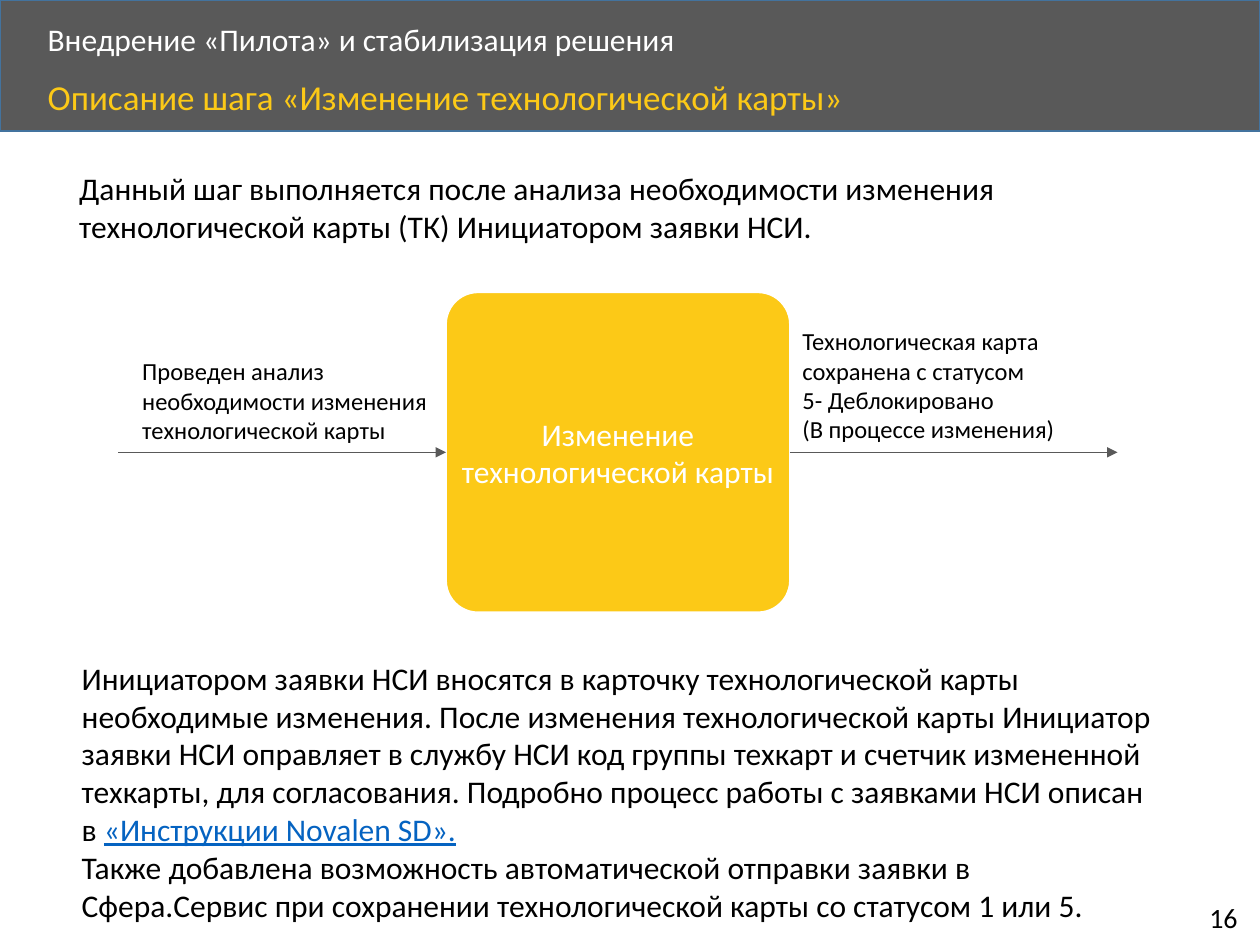
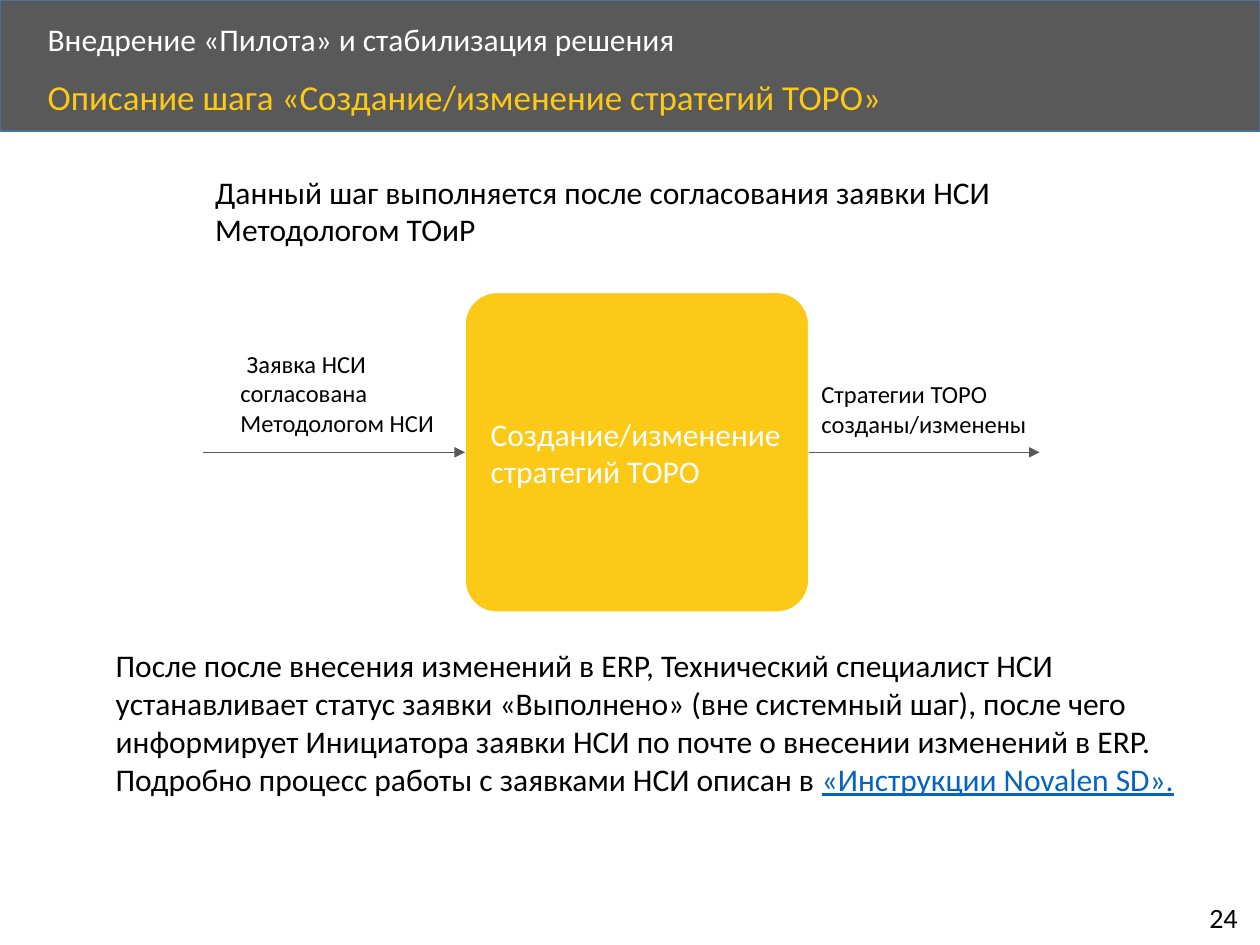
from dataclasses import dataclass

from lxml.etree import SubElement
from pptx import Presentation
from pptx.dml.color import RGBColor
from pptx.enum.shapes import MSO_CONNECTOR, MSO_SHAPE
from pptx.enum.text import MSO_ANCHOR, PP_ALIGN
from pptx.oxml.ns import qn
from pptx.util import Pt

EMU_PER_PX = 9144
SLIDE_WIDTH, SLIDE_HEIGHT = 1000, 750
STEP_TOP, STEP_WIDTH, STEP_HEIGHT = 232, 273, 254
FLOW_Y = STEP_TOP + STEP_HEIGHT // 2
SECTION = "Внедрение «Пилота» и стабилизация решения"
INSTRUCTION = "«Инструкции Novalen SD»."


@dataclass(frozen=True)
class Theme:
    font: str = "Calibri"
    band: str = "595959"
    band_line: str = "43739E"
    accent: str = "FCC917"
    light: str = "FFFFFF"
    dark: str = "000000"
    link: str = "0563C1"
    title_size: int = 20
    body_size: int = 18
    number_size: int = 16
    label_size: int = 14


def px(length):
    return length * EMU_PER_PX


def apply(target, values):
    for name, value in values.items():
        setattr(target, name, value)


class Deck:
    def __init__(self, theme):
        self.theme = theme
        self.presentation = Presentation()
        apply(self.presentation, {"slide_width": px(SLIDE_WIDTH),
                                  "slide_height": px(SLIDE_HEIGHT)})
        self.slide = None

    def start_slide(self, title, number):
        theme = self.theme
        self.slide = self.presentation.slides.add_slide(self.presentation.slide_layouts[6])
        self.shape(MSO_SHAPE.RECTANGLE, (0, 0, SLIDE_WIDTH, 104), theme.band, theme.band_line)
        self.text((28, 14, 807, 38), [SECTION], color=theme.light, line_spacing=0.9,
                  frame={"vertical_anchor": MSO_ANCHOR.MIDDLE})
        self.text((28, 59, 867, 45), [title], theme.title_size, theme.accent, line_spacing=0.9)
        self.text((950, 710, 46, 37), [str(number)], theme.number_size,
                  frame={"word_wrap": False})

    def shape(self, kind, box, fill, line):
        shape = self.slide.shapes.add_shape(kind, *map(px, box))
        shape.shadow.inherit = False
        shape.fill.solid()
        shape.fill.fore_color.rgb = RGBColor.from_string(fill)
        shape.line.color.rgb = RGBColor.from_string(line)
        shape.line.width = Pt(1)
        return shape

    def add_paragraphs(self, text_frame, paragraphs, size, color, **paragraph_format):
        for index, content in enumerate(paragraphs):
            paragraph = text_frame.paragraphs[0] if index == 0 else text_frame.add_paragraph()
            apply(paragraph, paragraph_format)
            for part in [content] if isinstance(content, str) else content:
                run = paragraph.add_run()
                run.text = part
                linked = part == INSTRUCTION
                apply(run.font, {"name": self.theme.font, "size": Pt(size), "underline": linked})
                run.font.color.rgb = RGBColor.from_string(self.theme.link if linked else color)

    def text(self, box, paragraphs, size=None, color=None, frame=None, first_indent=0,
             **paragraph_format):
        text_frame = self.slide.shapes.add_textbox(*map(px, box)).text_frame
        apply(text_frame, {"word_wrap": True, **(frame or {})})
        self.add_paragraphs(text_frame, paragraphs, size or self.theme.body_size,
                            color or self.theme.dark, **paragraph_format)
        if first_indent:
            properties = text_frame.paragraphs[0]._p.get_or_add_pPr()
            properties.set("indent", str(px(first_indent)))

    def label(self, box, paragraphs, first_indent=0):
        self.text(box, paragraphs, self.theme.label_size, first_indent=first_indent)

    def arrow(self, start, end):
        connector = self.slide.shapes.add_connector(
            MSO_CONNECTOR.STRAIGHT, px(start), px(FLOW_Y), px(end), px(FLOW_Y))
        connector.line.color.rgb = RGBColor.from_string(self.theme.band)
        connector.line.width = Pt(0.5)
        properties = connector._element.spPr
        SubElement(properties.find(qn("a:ln")), qn("a:tailEnd"), type="triangle")
        SubElement(properties, qn("a:effectLst"))

    def step(self, left, name, flow_start, flow_end, alignment, left_inset):
        shape = self.shape(MSO_SHAPE.ROUNDED_RECTANGLE,
                           (left, STEP_TOP, STEP_WIDTH, STEP_HEIGHT),
                           self.theme.accent, self.theme.light)
        shape.adjustments[0] = 0.1
        apply(shape.text_frame, {"word_wrap": True, "vertical_anchor": MSO_ANCHOR.MIDDLE,
                                 "margin_left": px(left_inset), "margin_right": px(3)})
        self.add_paragraphs(shape.text_frame, [name], self.theme.body_size, self.theme.light,
                            alignment=alignment)
        self.arrow(flow_start, left)
        self.arrow(left + STEP_WIDTH, flow_end)


def add_card_change(deck):
    deck.start_slide("Описание шага «Изменение технологической карты»", 16)
    deck.text((53, 129, 888, 71), [
        "Данный шаг выполняется после анализа необходимости изменения "
        "технологической карты (ТК) Инициатором заявки НСИ."])
    deck.step(354, "Изменение технологической карты", 94, 887, PP_ALIGN.CENTER, 3)
    deck.label((103, 278, 258, 81),
               ["Проведен анализ необходимости изменения технологической карты"])
    deck.label((627, 254, 233, 104), [
        "Технологическая карта сохранена с статусом",
        "5- Деблокировано",
        "(В процессе изменения)"])
    deck.text((55, 518, 871, 156), [
        ("Инициатором заявки НСИ вносятся в карточку технологической карты необходимые "
         "изменения. После изменения технологической карты Инициатор заявки НСИ оправляет "
         "в службу НСИ код группы техкарт и счетчик измененной техкарты, для согласования. "
         "Подробно процесс работы c заявками НСИ описан в ", INSTRUCTION),
        "Также добавлена возможность автоматической отправки заявки в Сфера.Сервис "
        "при сохранении технологической карты со статусом 1 или 5."])


def add_strategy_change(deck):
    deck.start_slide("Описание шага «Создание/изменение стратегий ТОРО»", 24)
    deck.text((161, 132, 718, 71),
              ["Данный шаг выполняется после согласования заявки НСИ Методологом ТОиР"])
    deck.step(369, "Создание/изменение стратегий ТОРО", 161, 825, PP_ALIGN.LEFT, 13)
    deck.label((181, 272, 180, 81), ["Заявка НСИ согласована Методологом НСИ"],
               first_indent=5)
    deck.label((642, 296, 184, 57), ["Стратегии ТОРО созданы/изменены"])
    deck.text((82, 508, 877, 162), [
        ("После после внесения изменений в ERP, Технический специалист НСИ устанавливает "
         "статус заявки «Выполнено» (вне системный шаг), после чего информирует Инициатора "
         "заявки НСИ по почте о внесении изменений в ERP. Подробно процесс работы c заявками "
         "НСИ описан в ", INSTRUCTION)])


def main():
    deck = Deck(Theme())
    add_card_change(deck)
    add_strategy_change(deck)
    deck.presentation.save("out.pptx")


if __name__ == "__main__":
    main()
